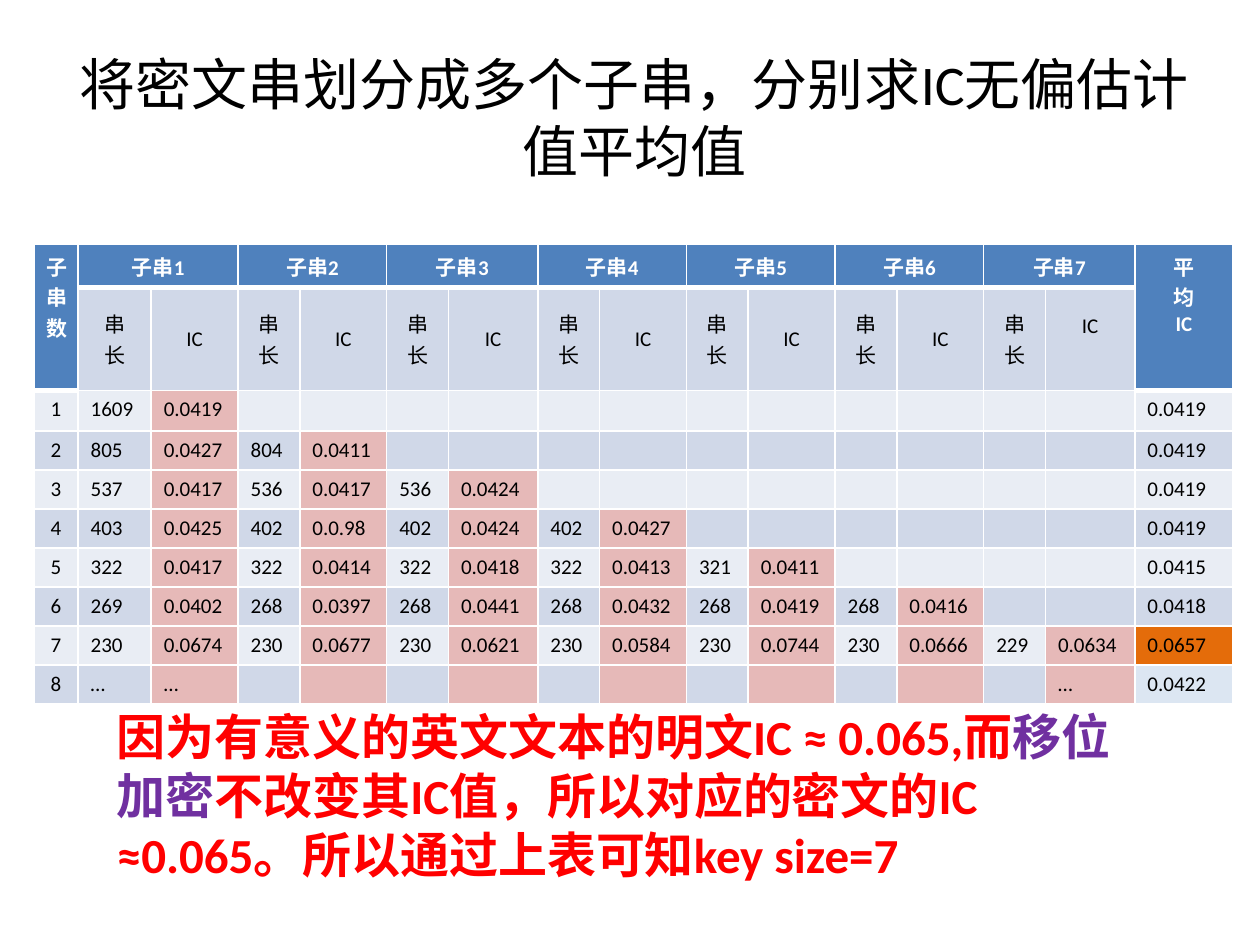
"""Build the slide on index of coincidence averages per number of substrings."""
from lxml import etree
from pptx import Presentation
from pptx import util as u
from pptx.dml.color import RGBColor
from pptx.enum import text
from pptx.oxml import ns

CENTER, LEFT = text.PP_ALIGN.CENTER, text.PP_ALIGN.LEFT
MIDDLE, TOP = text.MSO_ANCHOR.MIDDLE, text.MSO_ANCHOR.TOP
HEADER, PINK, ORANGE, PALE = "4F81BD", "E6B9B8", "E46C0A", "DCE6F2"
BANDS = ["E9EDF4", "D0D8E8"]


def color(target, value):
    target.rgb = RGBColor.from_string(value)


def write(frame, paragraphs, size, bold, align):
    font_format = {"name": "Calibri", "size": u.Pt(size), "bold": bold}
    for index, runs in enumerate(paragraphs):
        paragraph = frame.add_paragraph() if index else frame.paragraphs[0]
        paragraph.alignment = align
        for words, value in runs:
            run = paragraph.add_run()
            run.text = words
            for name, setting in font_format.items():
                setattr(run.font, name, setting)
            color(run.font.color, value)


presentation = Presentation()
presentation.slide_width, presentation.slide_height = u.Inches(10), u.Inches(7.5)
slide = presentation.slides.add_slide(presentation.slide_layouts[6])

title_runs = [("将密文串划分成多个子串，分别求IC无偏估计值平均值", "000000")]
conclusion_runs = [
    ("因为有意义的英文文本的明文IC ≈ 0.065,而", "FF0000"),
    ("移位加密", "7030A0"),
    ("不改变其IC值，所以对应的密文的IC ≈0.065。所以通过上表可知key size=7", "FF0000"),
]
text_boxes = [
    ((0.5, 0.3, 9.07, 1.25), title_runs, 32, False, CENTER, MIDDLE),
    ((0.83, 5.56, 8.43, 1.51), conclusion_runs, 28, True, LEFT, TOP),
]
for place, runs, size, bold, align, anchor in text_boxes:
    shape = slide.shapes.add_textbox(*map(u.Inches, place))
    frame_format = {"word_wrap": True, "vertical_anchor": anchor}
    for name, setting in frame_format.items():
        setattr(shape.text_frame, name, setting)
    write(shape.text_frame, [runs], size, bold, align)

column_widths = [0.35, 0.58, 0.69, 0.49, 0.69, 0.49, 0.71, 0.49,
                 0.69, 0.49, 0.69, 0.49, 0.69, 0.49, 0.71, 0.78]
row_heights = [0.34, 0.82, 0.32] + [0.31] * 7
lengths = ["1609", "805 804", "537 536 536", "403 402 402 402",
           "322 322 322 322 321", "269 268 268 268 268 268",
           "230 230 230 230 230 230 229", "…"]
coincidences = [
    "0.0419",
    "0.0427 0.0411",
    "0.0417 0.0417 0.0424",
    "0.0425 0.0.98 0.0424 0.0427",
    "0.0417 0.0414 0.0418 0.0413 0.0411",
    "0.0402 0.0397 0.0441 0.0432 0.0419 0.0416",
    "0.0674 0.0677 0.0621 0.0584 0.0744 0.0666 0.0634",
    "…",
]
averages = ["0.0419", "0.0419", "0.0419", "0.0419",
            "0.0415", "0.0418", "0.0657", "0.0422"]

last = len(column_widths) - 1
contents = {(0, 0): "子 串 数", (0, last): "平 均 IC", (9, last - 1): "…"}
for group in range(7):
    length_column = 2 * group + 1
    contents[0, length_column] = f"子串{group + 1}"
    contents[1, length_column] = "串 长"
    contents[1, length_column + 1] = "IC"
for index, average in enumerate(averages):
    row = index + 2
    contents[row, 0] = str(index + 1)
    contents[row, last] = average
    for group, length in enumerate(lengths[index].split()):
        contents[row, 2 * group + 1] = length
    for group, coincidence in enumerate(coincidences[index].split()):
        contents[row, 2 * group + 2] = coincidence

graphic = slide.shapes.add_table(
    len(row_heights), len(column_widths), u.Inches(0.27), u.Inches(1.94),
    u.Inches(sum(column_widths)), u.Inches(sum(row_heights)))
table = graphic.table
for name in ("first_row", "horz_banding"):
    setattr(table, name, False)
for table_column, width in zip(table.columns, column_widths):
    table_column.width = u.Inches(width)
for table_row, height in zip(table.rows, row_heights):
    table_row.height = u.Inches(height)

for row in range(len(row_heights)):
    for column in range(len(column_widths)):
        cell = table.cell(row, column)
        header_end = 1 if column in (0, last) else 0
        is_header = row <= header_end
        widths = {"lnL": 1, "lnR": 1, "lnT": 3 if row == header_end + 1 else 1,
                  "lnB": 3 if is_header else 1}
        properties = cell._tc.get_or_add_tcPr()
        for side, width in widths.items():
            line = etree.SubElement(properties, ns.qn(f"a:{side}"), w=str(u.Pt(width)))
            line_fill = etree.SubElement(line, ns.qn("a:solidFill"))
            etree.SubElement(line_fill, ns.qn("a:srgbClr"), val="FFFFFF")

        fill = HEADER if is_header else BANDS[row % 2]
        if row == 1 and not is_header:
            cell.vertical_anchor = MIDDLE
        elif row > 1 and column < last and column % 2 == 0 and 0 < column <= 2 * (row - 1):
            fill = PINK
        elif column == last and row > 7:
            fill = ORANGE if row == 8 else PALE
        cell.fill.solid()
        color(cell.fill.fore_color, fill)

        words = contents.get((row, column), "").split()
        value = "FFFFFF" if is_header else "000000"
        centered = column == 0 or row < 2
        write(cell.text_frame, [[(word, value)] for word in words],
              12, is_header, CENTER if centered else LEFT)
        for paragraph in cell.text_frame.paragraphs:
            paragraph._p.get_or_add_endParaRPr().set("sz", "1200")

table.cell(1, last - 1).margin_bottom = u.Inches(0.25)
for column in (0, last):
    table.cell(0, column).merge(table.cell(1, column))
for column in range(1, last, 2):
    table.cell(0, column).merge(table.cell(0, column + 1))

presentation.save("out.pptx")
